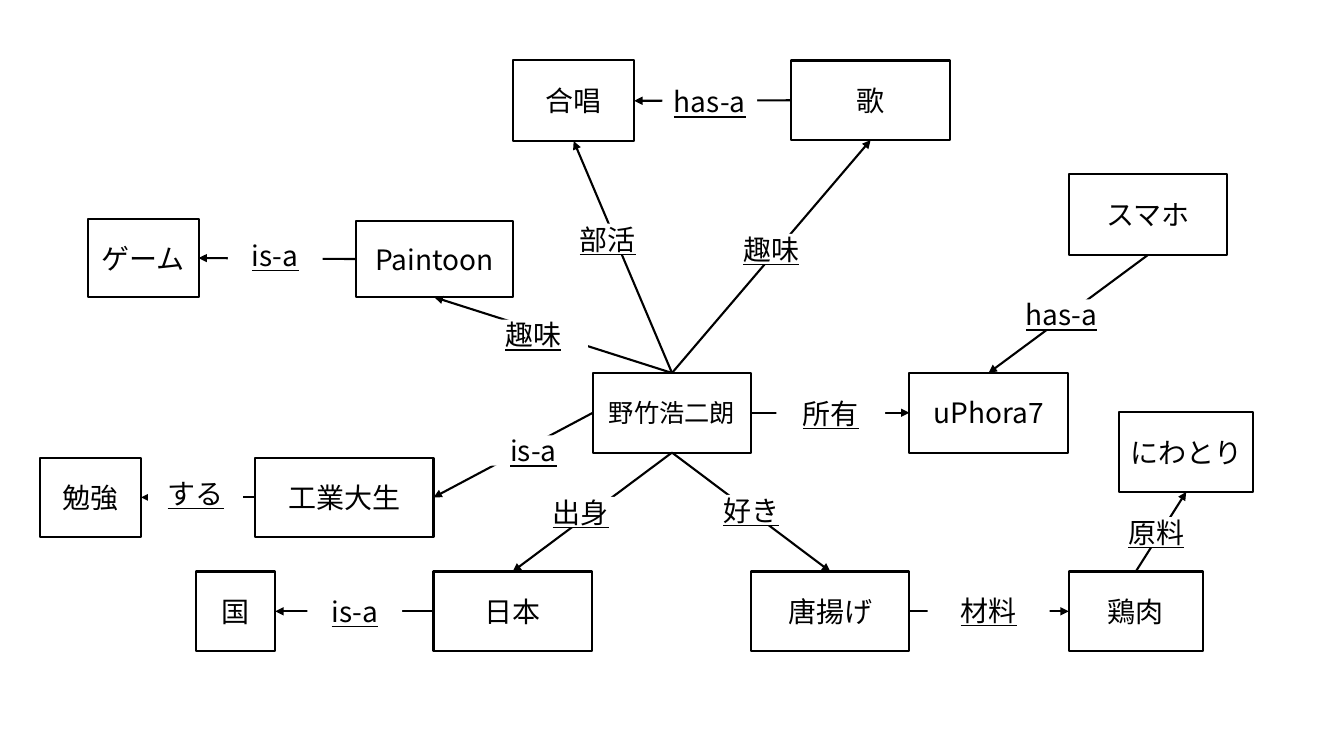
from dataclasses import dataclass

from lxml.etree import SubElement
from pptx import Presentation
from pptx.dml.color import RGBColor
from pptx.enum.shapes import MSO_CONNECTOR as Connector, MSO_SHAPE as Preset
from pptx.enum.text import MSO_ANCHOR as Anchor, PP_ALIGN as Align
from pptx.oxml.ns import qn
from pptx.util import Pt

PX = 9144  # 100 px to the inch
SLIDE_W, SLIDE_H = 1333, 750
TOP, LEFT, BOTTOM, RIGHT = range(4)  # connection sites of a box


@dataclass(frozen=True)
class Theme:
    ink: RGBColor = RGBColor(0, 0, 0)
    paper: RGBColor = RGBColor(255, 255, 255)
    font: str = "Noto Sans CJK JP"
    body: Pt = Pt(20)
    person: Pt = Pt(18)
    stroke: Pt = Pt(1.5)


THEME = Theme()
PERSON = "野竹浩二朗"
RECT, PROCESS = Preset.RECTANGLE, Preset.FLOWCHART_PROCESS

# concept: (preset, left, top, width, height)
CONCEPTS = {
    PERSON: (RECT, 588, 370, 157, 79),
    "工業大生": (RECT, 253, 454, 177, 79),
    "歌": (RECT, 785, 60, 157, 79),
    "日本": (RECT, 430, 567, 157, 79),
    "唐揚げ": (RECT, 745, 567, 157, 79),
    "国": (PROCESS, 194, 567, 79, 79),
    "勉強": (PROCESS, 40, 454, 100, 79),
    "鶏肉": (PROCESS, 1060, 567, 133, 79),
    "にわとり": (PROCESS, 1110, 409, 133, 79),
    "uPhora7": (PROCESS, 902, 370, 157, 79),
    "スマホ": (PROCESS, 1060, 173, 157, 80),
    "ゲーム": (PROCESS, 87, 217, 110, 78),
    "Paintoon": (PROCESS, 353, 219, 156, 76),
    "合唱": (PROCESS, 509, 60, 120, 80),
}

# (source, site, target, site, relation, (left, top, width, height))
RELATIONS = [
    (PERSON, TOP, "歌", BOTTOM, "趣味", (711, 232, 108, 30)),
    (PERSON, LEFT, "工業大生", RIGHT, "is-a", (482, 432, 94, 30)),
    ("工業大生", LEFT, "勉強", RIGHT, "する", (147, 474, 94, 30)),
    (PERSON, BOTTOM, "日本", TOP, "出身", (529, 493, 94, 30)),
    ("日本", LEFT, "国", RIGHT, "is-a", (305, 591, 94, 30)),
    (PERSON, BOTTOM, "唐揚げ", TOP, "好き", (691, 491, 108, 30)),
    ("唐揚げ", RIGHT, "鶏肉", LEFT, "材料", (920, 591, 121, 29)),
    ("鶏肉", TOP, "にわとり", BOTTOM, "原料", (1100, 513, 94, 30)),
    (PERSON, RIGHT, "uPhora7", LEFT, "所有", (770, 395, 108, 30)),
    ("スマホ", BOTTOM, "uPhora7", TOP, "has-a", (1006, 297, 94, 30)),
    (PERSON, TOP, "Paintoon", BOTTOM, "趣味", (475, 317, 108, 30)),
    ("Paintoon", LEFT, "ゲーム", RIGHT, "is-a", (226, 238, 94, 30)),
    (PERSON, TOP, "合唱", BOTTOM, "部活", (549, 222, 108, 30)),
    ("歌", LEFT, "合唱", RIGHT, "has-a", (657, 86, 94, 30)),
]


def apply(target, values):
    for attribute, value in values.items():
        setattr(target, attribute, value)


def write(box, wording, **extra):
    """Put one centred line of text into a box."""
    box.text_frame.vertical_anchor = Anchor.MIDDLE
    line = box.text_frame.paragraphs[0]
    line.alignment = Align.CENTER
    run = line.add_run()
    run.text = wording
    apply(run.font, {"name": THEME.font, "size": THEME.body, **extra})
    run.font.color.rgb = THEME.ink
    SubElement(run.font._element, qn("a:ea"), typeface=THEME.font)


def draw_outline(line):
    line.color.rgb = THEME.ink
    line.width = THEME.stroke


def add_box(slide, preset, *bounds):
    box = slide.shapes.add_shape(preset, *(n * PX for n in bounds))
    box.shadow.inherit = False
    return box


def add_concept(slide, wording, preset, *bounds):
    concept = add_box(slide, preset, *bounds)
    concept.fill.background()
    draw_outline(concept.line)
    write(concept, wording, size=THEME.person if wording == PERSON else THEME.body)
    return concept


def add_arrow(slide, source, source_site, target, target_site):
    arrow = slide.shapes.add_connector(Connector.STRAIGHT, 0, 0, 0, 0)
    arrow.begin_connect(source, source_site)
    arrow.end_connect(target, target_site)
    draw_outline(arrow.line)
    SubElement(arrow.line._get_or_add_ln(), qn("a:tailEnd"), type="triangle")
    SubElement(arrow._element.spPr, qn("a:effectLst"))


def add_relation_label(slide, wording, bounds):
    """Add an underlined label whose fill interrupts the arrow behind it."""
    label = add_box(slide, RECT, *bounds)
    label.fill.solid()
    label.fill.fore_color.rgb = THEME.paper
    label.line.fill.background()
    write(label, wording, underline=True)


def main():
    deck = Presentation()
    apply(deck, {"slide_width": SLIDE_W * PX, "slide_height": SLIDE_H * PX})
    slide = deck.slides.add_slide(deck.slide_layouts[6])
    concepts = {
        wording: add_concept(slide, wording, *place)
        for wording, place in CONCEPTS.items()
    }
    for source, source_site, target, target_site, relation, bounds in RELATIONS:
        add_arrow(slide, concepts[source], source_site, concepts[target], target_site)
        add_relation_label(slide, relation, bounds)
    deck.save("out.pptx")


if __name__ == "__main__":
    main()
